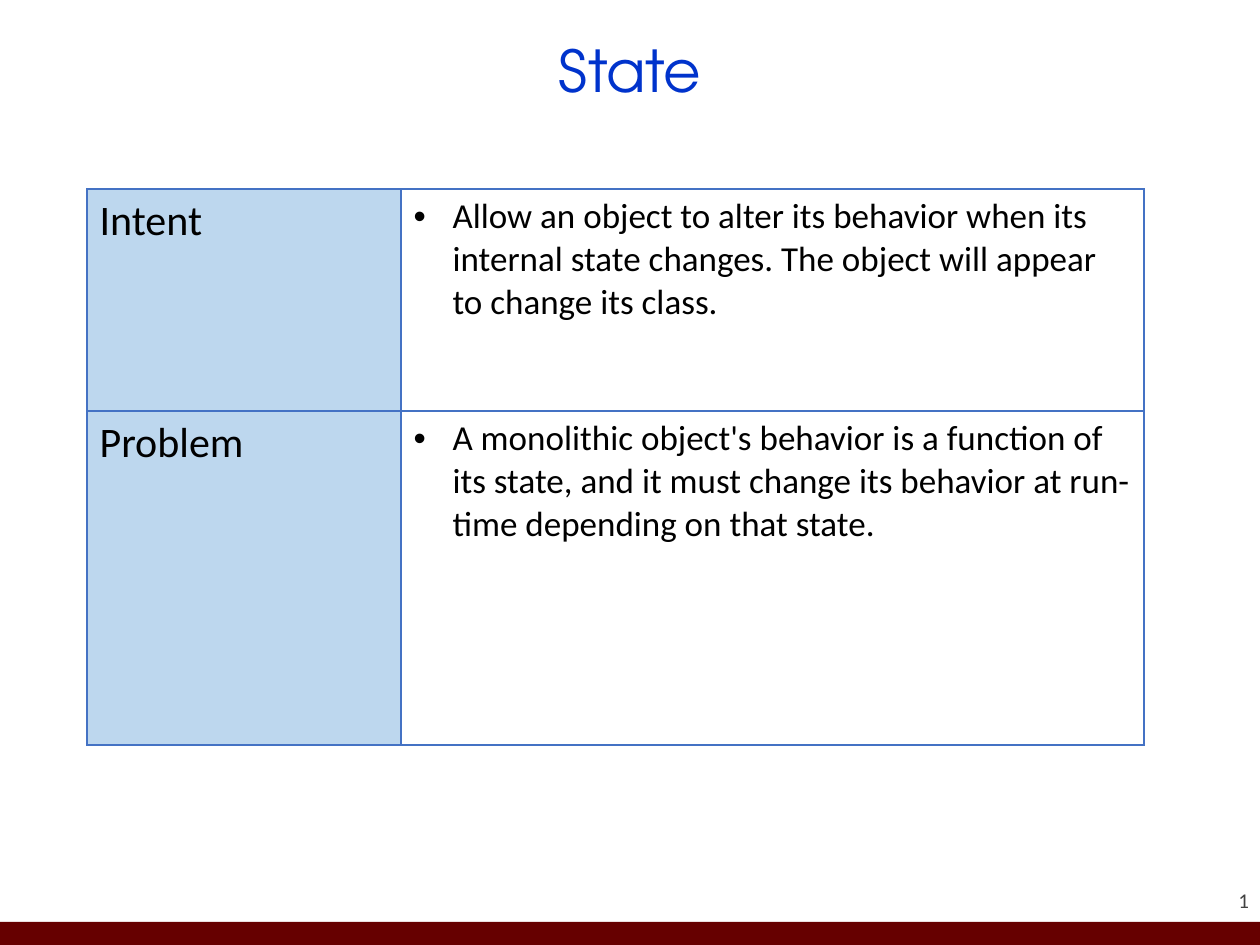
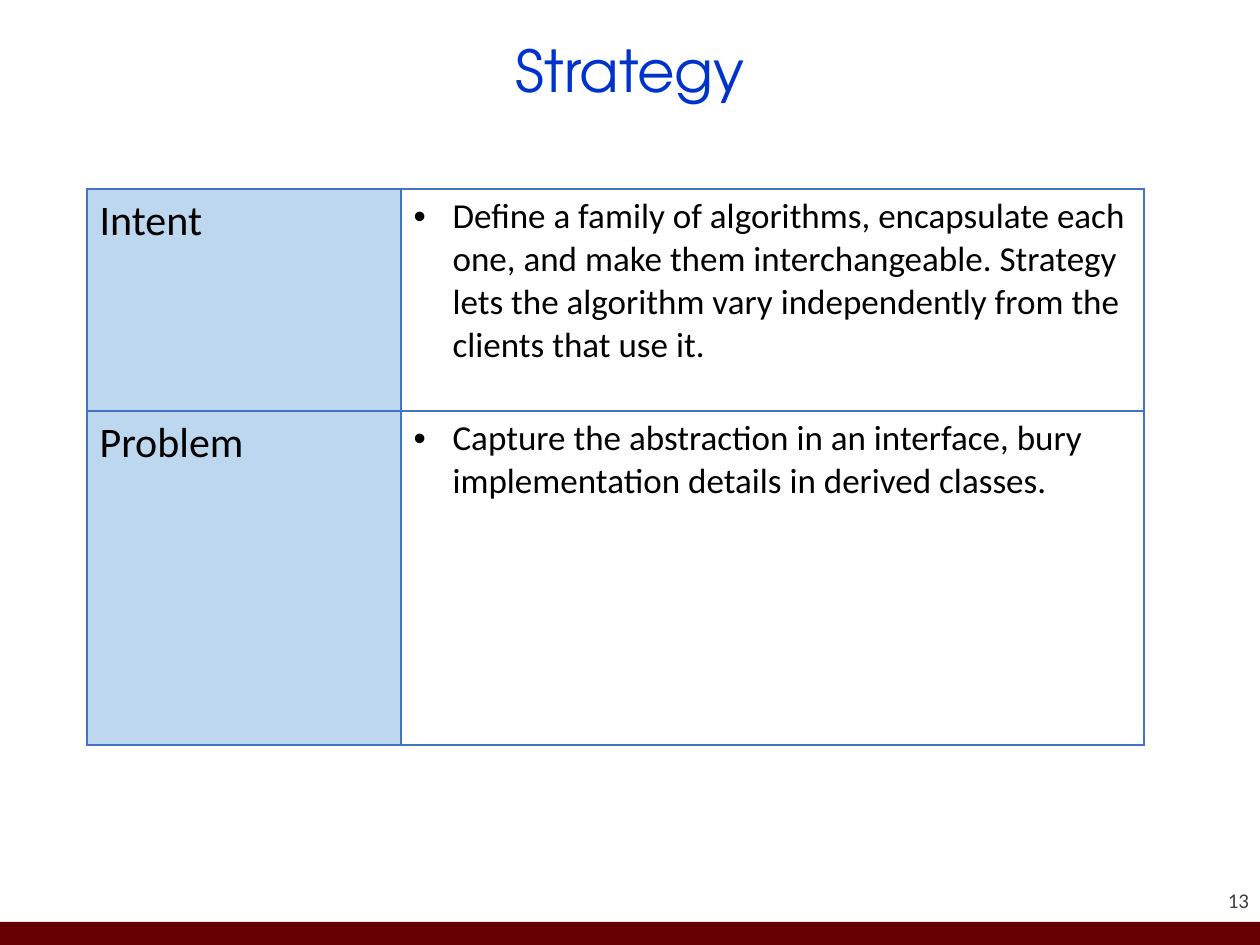
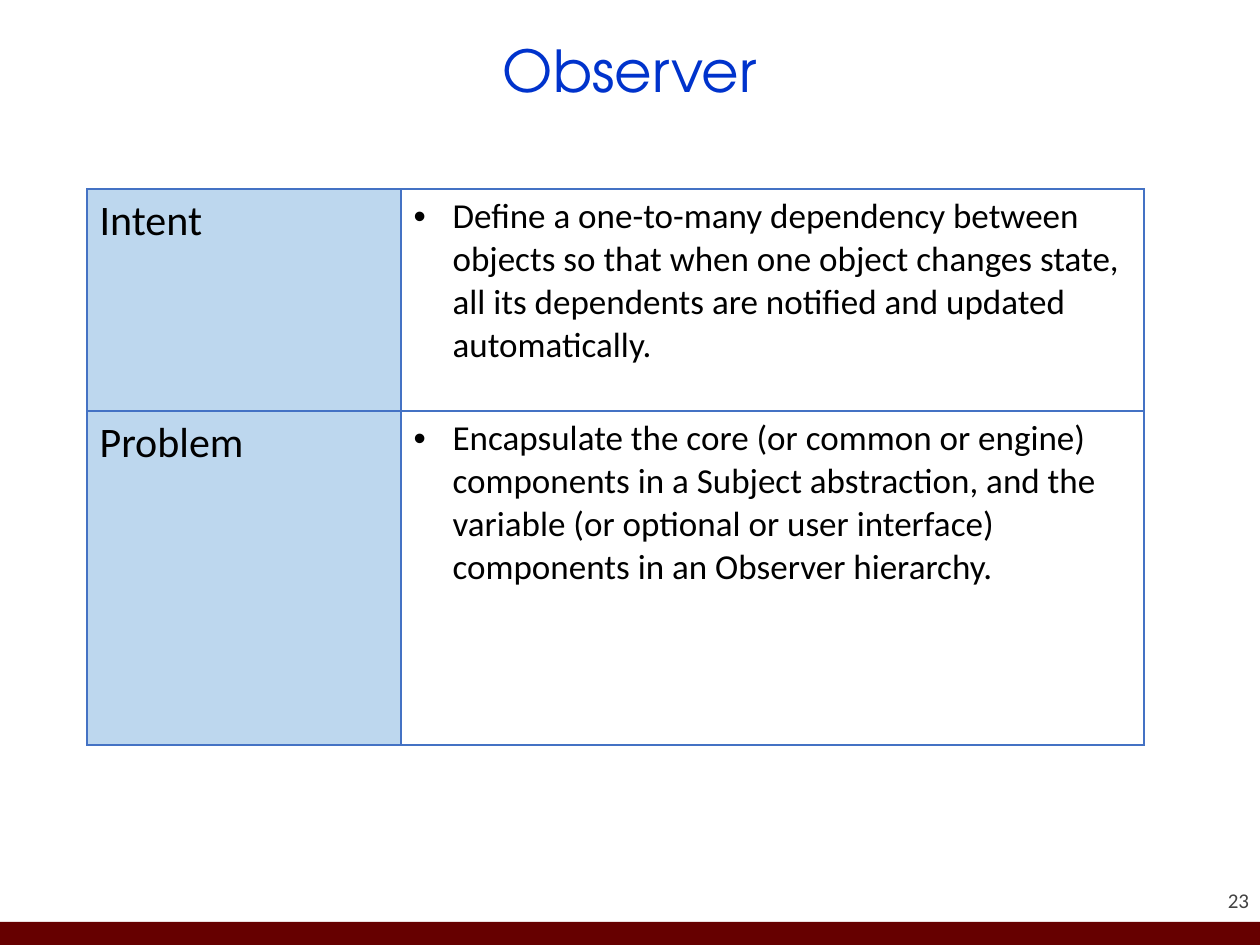
from dataclasses import dataclass
from typing import Any, NamedTuple

from pptx import Presentation
from pptx.dml.color import RGBColor
from pptx.enum.shapes import MSO_SHAPE as Preset
from pptx.enum.text import MSO_ANCHOR as Anchor, PP_ALIGN as Align
from pptx.oxml.xmlchemy import OxmlElement as make_element
from pptx.util import Emu, Pt

EMU_PER_INCH = 914400
PX_PER_INCH = 126

TITLE_BLUE = "0033CC"
BAND_RED = "660000"
NUMBER_GRAY = "424242"
BORDER_BLUE = "4472C4"
LABEL_BLUE = "BDD7EE"
WHITE = "FFFFFF"
BLACK = "000000"

COLUMN_WIDTHS = (314, 743)
ROW_HEIGHTS = (222, 334)
BULLET_INDENT = 39


class Box(NamedTuple):
    left: int
    top: int
    width: int
    height: int


@dataclass(frozen=True)
class TextStyle:
    size: int
    color: str
    font: str = "Calibri"
    align: Align = Align.LEFT
    line_spacing: float = 1.0
    bullet: bool = False


@dataclass(frozen=True)
class Pattern:
    name: str
    page: int
    intent: str
    problem: str


SLIDE = Box(0, 0, 1260, 945)
BAND = Box(0, 922, SLIDE.width, 23)
NUMBER = Box(1144, 863, 105, 50)
TITLE = Box(87, 15, 1086, 118)
TABLE = Box(87, 189, sum(COLUMN_WIDTHS), sum(ROW_HEIGHTS))

TITLE_STYLE = TextStyle(33, TITLE_BLUE, "TeX Gyre Adventor", Align.CENTER, 0.9)
NUMBER_STYLE = TextStyle(12, NUMBER_GRAY, align=Align.RIGHT)
LABEL_STYLE = TextStyle(24, BLACK)
BODY_STYLE = TextStyle(20, BLACK, bullet=True)

TITLE_FRAME = {"word_wrap": True, "vertical_anchor": Anchor.MIDDLE}
NUMBER_FRAME = {
    "word_wrap": True,
    "vertical_anchor": Anchor.BOTTOM,
    "margin_left": 0,
    "margin_right": 0,
    "margin_top": 0,
    "margin_bottom": 0,
}

PATTERNS = (
    Pattern(
        "State",
        1,
        "Allow an object to alter its behavior when its internal state changes. "
        "The object will appear to change its class.",
        "A monolithic object's behavior is a function of its state, and it must "
        "change its behavior at run-time depending on that state.",
    ),
    Pattern(
        "Strategy",
        13,
        "Define a family of algorithms, encapsulate each one, and make them "
        "interchangeable. Strategy lets the algorithm vary independently from "
        "the clients that use it.",
        "Capture the abstraction in an interface, bury implementation details "
        "in derived classes.",
    ),
    Pattern(
        "Observer",
        23,
        "Define a one-to-many dependency between objects so that when one object "
        "changes state, all its dependents are notified and updated automatically.",
        "Encapsulate the core (or common or engine) components in a Subject "
        "abstraction, and the variable (or optional or user interface) components "
        "in an Observer hierarchy.",
    ),
)


def px(length: int) -> Emu:
    return Emu(round(length * EMU_PER_INCH / PX_PER_INCH))


def place(box: Box) -> list[Emu]:
    return [px(length) for length in box]


def rgb(color: str) -> RGBColor:
    return RGBColor.from_string(color)


def apply(target: Any, values: dict[str, Any]) -> None:
    for name, value in values.items():
        setattr(target, name, value)


def paint(target: Any, color: str) -> None:
    target.fill.solid()
    target.fill.fore_color.rgb = rgb(color)


def add_bullet(paragraph: Any) -> None:
    properties = paragraph._p.get_or_add_pPr()
    properties.set("marL", str(px(BULLET_INDENT)))
    properties.set("indent", str(-px(BULLET_INDENT)))
    font = make_element("a:buFont")
    font.set("typeface", "Arial")
    character = make_element("a:buChar")
    character.set("char", "•")
    properties.extend((font, character))


def write(text_frame: Any, text: str, style: TextStyle) -> None:
    paragraph = text_frame.paragraphs[0]
    if style.bullet:
        add_bullet(paragraph)
    apply(paragraph, {"alignment": style.align, "line_spacing": style.line_spacing})
    run = paragraph.add_run()
    run.text = text
    apply(run.font, {"name": style.font, "size": Pt(style.size), "bold": False})
    run.font.color.rgb = rgb(style.color)


def add_text(
    slide: Any, box: Box, text: str, style: TextStyle, frame: dict[str, Any]
) -> None:
    text_frame = slide.shapes.add_textbox(*place(box)).text_frame
    apply(text_frame, frame)
    write(text_frame, text, style)


def add_band(slide: Any) -> None:
    band = slide.shapes.add_shape(Preset.RECTANGLE, *place(BAND))
    band.shadow.inherit = False
    paint(band, BAND_RED)
    band.line.fill.background()


def add_borders(cell: Any) -> None:
    properties = cell._tc.get_or_add_tcPr()
    for side in ("lnL", "lnR", "lnT", "lnB"):
        line = make_element(f"a:{side}")
        line.set("w", str(Pt(1)))
        fill = make_element("a:solidFill")
        color = make_element("a:srgbClr")
        color.set("val", BORDER_BLUE)
        fill.append(color)
        line.append(fill)
        properties.append(line)


def add_pattern_table(slide: Any, pattern: Pattern) -> None:
    rows = (("Intent", pattern.intent), ("Problem", pattern.problem))
    columns = ((LABEL_STYLE, LABEL_BLUE), (BODY_STYLE, WHITE))
    table = slide.shapes.add_table(len(rows), len(columns), *place(TABLE)).table
    apply(table, {"first_row": False, "horz_banding": False})
    for column, width in zip(table.columns, COLUMN_WIDTHS):
        column.width = px(width)
    for row, height, texts in zip(table.rows, ROW_HEIGHTS, rows):
        row.height = px(height)
        for cell, text, (style, fill) in zip(row.cells, texts, columns):
            add_borders(cell)
            paint(cell, fill)
            write(cell.text_frame, text, style)


def add_pattern_slide(presentation: Any, pattern: Pattern) -> None:
    slide = presentation.slides.add_slide(presentation.slide_layouts[6])
    add_band(slide)
    add_text(slide, NUMBER, str(pattern.page), NUMBER_STYLE, NUMBER_FRAME)
    add_text(slide, TITLE, pattern.name, TITLE_STYLE, TITLE_FRAME)
    add_pattern_table(slide, pattern)


def main() -> None:
    presentation = Presentation()
    apply(
        presentation,
        {"slide_width": px(SLIDE.width), "slide_height": px(SLIDE.height)},
    )
    for pattern in PATTERNS:
        add_pattern_slide(presentation, pattern)
    presentation.save("out.pptx")


if __name__ == "__main__":
    main()
